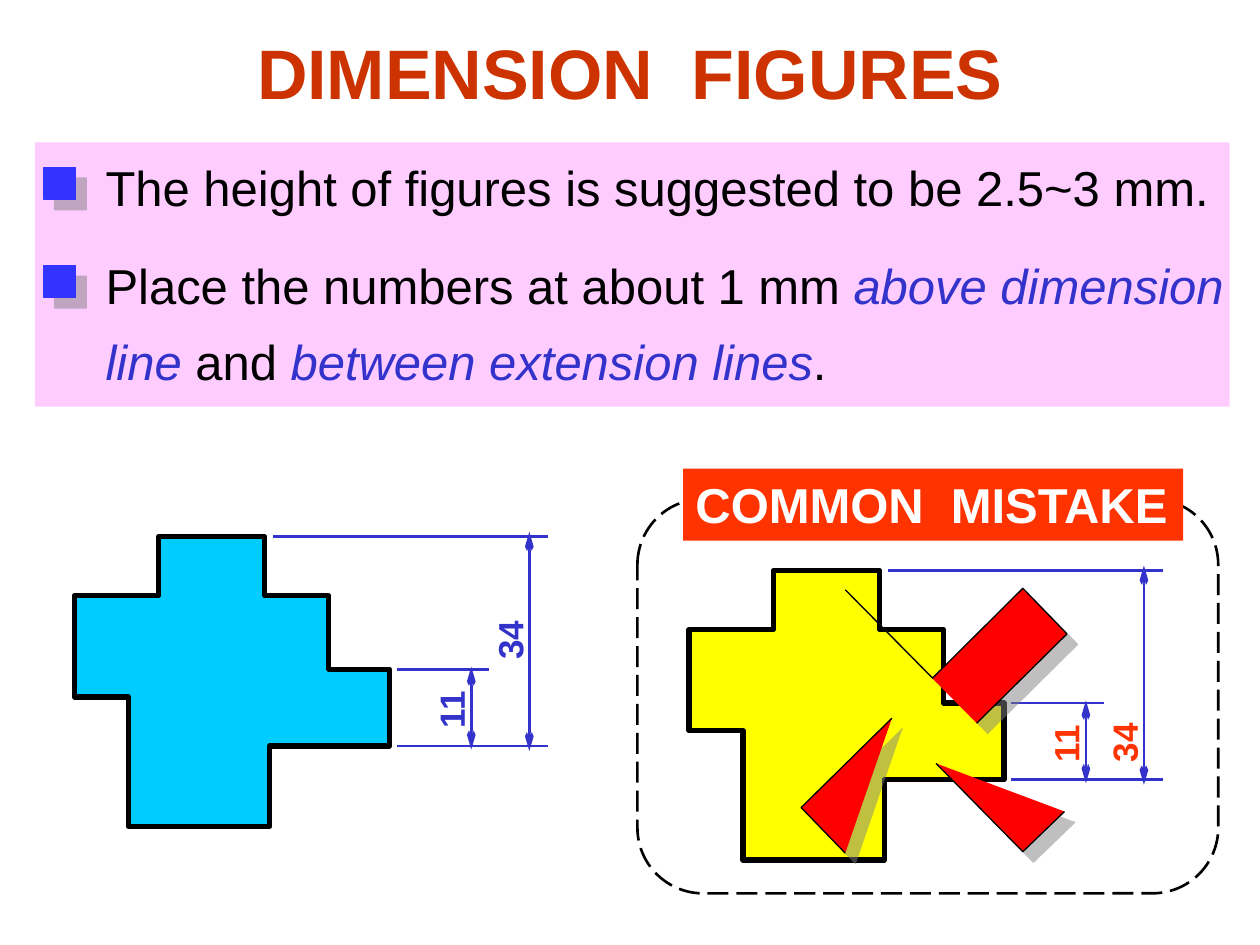
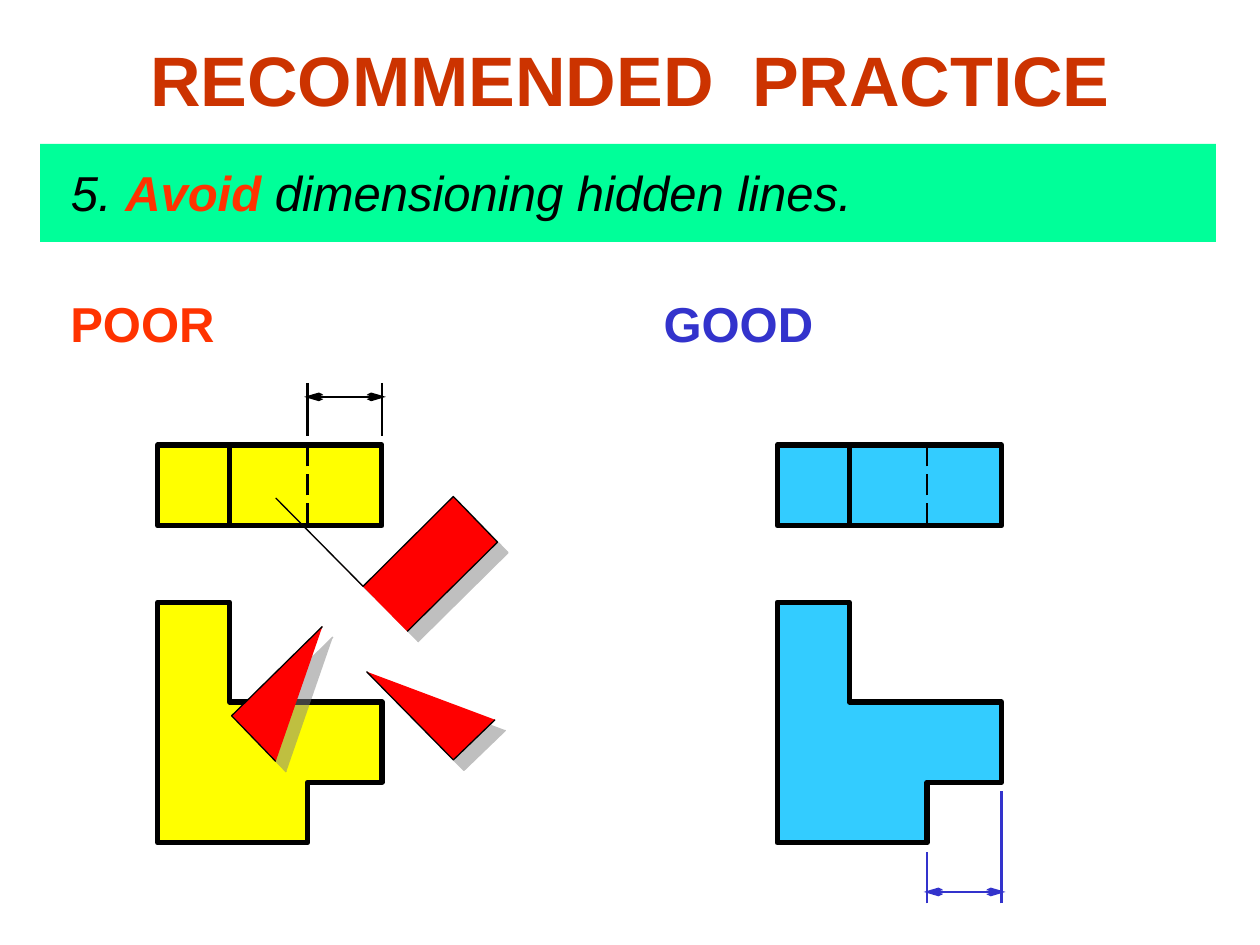
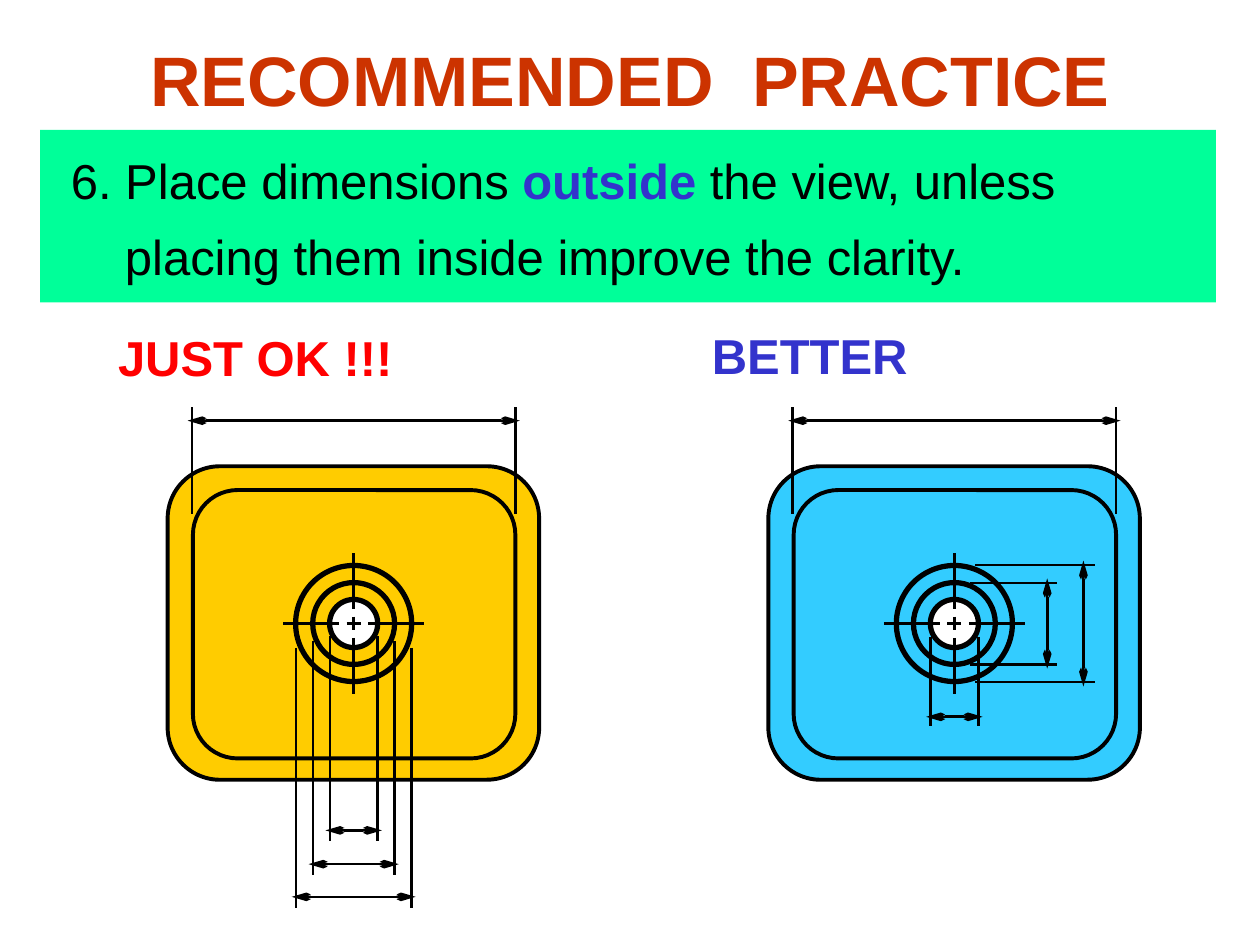
from lxml import etree
from pptx import Presentation
from pptx import util as u
from pptx.dml.color import RGBColor
from pptx.enum import dml, shapes, text
from pptx.oxml.ns import qn

cm = u.Cm
hue = RGBColor.from_string
kind = shapes.MSO_SHAPE
BLACK, WHITE, BLUE, RED = "000000", "FFFFFF", "3333CC", "FF3300"
YELLOW, SKY, GREEN = "FFFF00", "33CCFF", "00FF99"


def put(page, form, at, fill=None, edge=None, wide=0.75, shade=False):
    if form:
        shape = page.shapes.add_shape(form, *map(cm, at))
    else:
        pen = None
        for part in at:
            spots = [(cm(x), cm(y)) for x, y in part]
            if pen:
                pen.move_to(*spots[0])
            else:
                pen = page.shapes.build_freeform(*spots[0])
            pen.add_line_segments(spots[1:], close=False)
        shape = pen.convert_to_shape()
    shape.shadow.inherit = False
    if fill:
        shape.fill.solid()
        shape.fill.fore_color.rgb = hue(fill)
    else:
        shape.fill.background()
    if edge:
        shape.line.color.rgb = hue(edge)
        shape.line.width = u.Pt(wide)
    else:
        shape.line.fill.background()
    if shade:
        glow = shape._element.spPr.find(qn("a:effectLst"))
        cast = etree.SubElement(glow, qn("a:outerShdw"), blurRad="0", dist="107950",
                                dir="2700000", algn="ctr", rotWithShape="0")
        tint = etree.SubElement(cast, qn("a:srgbClr"), val="808080")
        etree.SubElement(tint, qn("a:alpha"), val="50000")
    return shape


def say(shape, runs, size=28, bold=None, italic=None, gap=None, hang=False, wrap=True):
    frame = shape.text_frame
    frame.word_wrap = wrap
    frame.vertical_anchor = text.MSO_ANCHOR.TOP
    para = frame.paragraphs[0]
    para.alignment = text.PP_ALIGN.LEFT
    if gap:
        para.line_spacing = gap
    if hang:
        para._p.get_or_add_pPr().set("marL", str(cm(1.63)))
        para._p.get_or_add_pPr().set("indent", str(cm(-1.09)))
    para.font.name, para.font.size = "Arial", u.Pt(size)
    para.font.bold, para.font.italic = bold, italic
    for words, ink, *marks in runs:
        run = para.add_run()
        run.text = words
        run.font.color.rgb = hue(ink)
        for mark in marks:
            setattr(run.font, mark, True)


deck = Presentation()
deck.slide_width, deck.slide_height = cm(25.4), cm(19.05)
pages = []
for words, at in (
    ("DIMENSION  FIGURES", (0, 0.46, 25.4, 1.96)),
    ("RECOMMENDED  PRACTICE", (1.91, 0, 21.59, 3.18)),
    ("RECOMMENDED  PRACTICE", (1.91, 0.46, 21.59, 2.24)),
):
    page = deck.slides.add_slide(deck.slide_layouts[5])
    title = page.shapes.title
    title.left, title.top, title.width, title.height = map(cm, at)
    title.text_frame.text = words
    title.text_frame.vertical_anchor = text.MSO_ANCHOR.MIDDLE
    para = title.text_frame.paragraphs[0]
    para.alignment = text.PP_ALIGN.CENTER
    para.font.name, para.font.size, para.font.bold = "Arial", u.Pt(40), True
    para.font.color.rgb = hue("CC3300")
    pages.append(page)
figures, hidden, outside = pages
rules = []

put(figures, kind.RECTANGLE, (0.71, 2.87, 24.08, 5.33), "FFCCFF")
for top, high, gap, runs in (
    (3.05, 0.33, None, [("The height of figures is suggested to be 2.5~3 mm.", BLACK)]),
    (4.67, 0.69, 1.3, [("Place the numbers at about 1 mm ", BLACK),
                       ("above dimension line", BLUE, "italic"), (" and ", BLACK),
                       ("between extension lines", BLUE, "italic"), (".", BLACK)]),
):
    put(figures, kind.RECTANGLE, (0.89, top + high, 0.64, 0.64), "3333FF", "3333FF", shade=True)
    say(figures.shapes.add_textbox(cm(1.88), cm(top), cm(23.4), cm(1.45)), runs, gap=gap)

frame = put(figures, kind.ROUNDED_RECTANGLE, (12.85, 10.06, 11.71, 7.95), None, BLACK, 1.5)
frame.line.dash_style = dml.MSO_LINE.LONG_DASH
label = put(figures, kind.RECTANGLE, (13.77, 9.45, 10.08, 1.45), RED)
say(label, [("COMMON  MISTAKE", WHITE)], bold=True, wrap=False)

block = [(1.7, 1.19), (1.7, 0), (3.84, 0), (3.84, 1.19), (5.13, 1.19), (5.13, 2.67),
         (6.35, 2.67), (6.35, 4.22), (3.94, 4.22), (3.94, 5.84), (1.09, 5.84),
         (1.09, 3.23), (0, 3.23), (0, 1.19), (1.7, 1.19)]
for left, top, fill, ink, high in ((1.5, 10.82, "00CCFF", BLUE, 1.52),
                                   (13.89, 11.5, YELLOW, RED, 2.9)):
    put(figures, None, [[(left + x, top + y) for x, y in block]], fill, BLACK, 3)
    for a, b, c, d, style in (
        (6.5, 2.67, 8.36, 2.67, None), (6.5, 4.22, 9.55, 4.22, None),
        (4.01, 0, 9.55, 0, None),
        (8, 2.62, 8, 4.29, "arrow"), (9.17, -0.1, 9.17, 4.32, "arrow"),
    ):
        rules.append((figures, left + a, top + b, left + c, top + d, BLUE, 1.5, style))
    for words, x, y in (("11", 6.95, 2.9), ("34", 8.13, high)):
        note = figures.shapes.add_textbox(cm(left + x), cm(top + y), cm(1.3), cm(1.12))
        note.rotation = 270
        say(note, [(words, ink)], 20, True, wrap=False)

for page, top, tall, inset, gap, italic, runs in (
    (hidden, 2.9, 1.98, 0.38, None, True,
     [("5. ", BLACK), ("Avoid", RED, "bold"), (" dimensioning hidden lines.", BLACK)]),
    (outside, 2.62, 3.48, 0.05, 1.3, None,
     [("6. Place dimensions ", BLACK), ("outside", BLUE, "bold"),
      (" the view, unless placing them inside improve the clarity.", BLACK)]),
):
    band = put(page, kind.RECTANGLE, (0.81, top, 23.7, tall), GREEN)
    band.text_frame.margin_left, band.text_frame.margin_top = cm(0.08), cm(inset)
    say(band, runs, italic=italic, gap=gap, hang=True)

for page, words, left, top, ink in (
    (hidden, "POOR", 1.17, 5.79, RED), (hidden, "GOOD", 13.13, 5.79, BLUE),
    (outside, "JUST OK !!!", 2.13, 6.48, "FF0000"), (outside, "BETTER", 14.1, 6.43, BLUE),
):
    say(page.shapes.add_textbox(cm(left), cm(top), cm(7), cm(1.45)), [(words, ink)], bold=True)

step = [(0, 0), (1.45, 0), (1.45, 2.01), (4.52, 2.01), (4.52, 3.63), (3.02, 3.63),
        (3.02, 4.85), (0, 4.85), (0, 0)]
for left, fill, ink, far, near, bar in (
    (3.18, YELLOW, BLACK, 7.72, (8.79, 8.79), 8),
    (15.67, SKY, BLUE, 18.21, (17.17, 15.95), 17.98),
):
    put(hidden, None, [[(left + x, 12.14 + y) for x, y in step]], fill, BLACK, 3)
    put(hidden, kind.RECTANGLE, (left, 8.97, 4.52, 1.63), fill, BLACK, 3)
    for x, wide, style in ((1.45, 3, None), (3.02, 1.5, "dash")):
        rules.append((hidden, left + x, 10.57, left + x, 8.97, BLACK, wide, style))
    for x, y in zip((3.02, 4.52), near):
        rules.append((hidden, left + x, far, left + x, y, ink, 1.5, None))
    rules.append((hidden, left + 2.95, bar, left + 4.6, bar, ink, 1.5, "arrow"))

mid = 12.57
for left, fill in ((3.38, "FFCC00"), (15.49, SKY)):
    hub = left + 3.75
    put(outside, kind.ROUNDED_RECTANGLE, (left, 9.4, 7.49, 6.32), fill, BLACK, 2.25)
    put(outside, kind.ROUNDED_RECTANGLE, (left + 0.51, 9.88, 6.5, 5.41), fill, BLACK, 2.25)
    for size, tone in ((2.34, fill), (1.65, fill), (0.97, WHITE)):
        put(outside, kind.OVAL, (hub - size / 2, mid - size / 2, size, size), tone, BLACK, 3)
    for a, b in ((-1.42, -0.29), (-0.14, 0.14), (0.29, 1.42)):
        rules.append((outside, hub + a, mid, hub + b, mid, BLACK, 1.5, None))
        rules.append((outside, hub, mid + a, hub, mid + b, BLACK, 1.5, None))

for hub, half, near, far, bar in (
    (7.13, 3.26, 10.36, 8.2, 8.48), (19.24, 3.26, 10.36, 8.2, 8.48),
    (7.13, 0.48, 12.83, 16.95, 16.74), (7.13, 0.82, 12.93, 17.63, 17.42),
    (7.13, 1.16, 13.06, 18.31, 18.08), (19.24, 0.48, 12.85, 14.63, 14.45),
):
    for x in (hub - half, hub + half):
        rules.append((outside, x, near, x, far, BLACK, 1.5, None))
    rules.append((outside, hub - half - 0.09, bar, hub + half + 0.09, bar, BLACK, 1.5, "arrow"))
for half, near, far, bar in ((0.82, 19.56, 21.31, 21.11), (1.18, 19.66, 22.07, 21.84)):
    for y in (mid - half, mid + half):
        rules.append((outside, near, y, far, y, BLACK, 1.5, None))
    rules.append((outside, bar, mid + half + 0.09, bar, mid - half - 0.09, BLACK, 1.5, "arrow"))

for page, a, b, c, d, ink, wide, style in rules:
    rule = page.shapes.add_connector(shapes.MSO_CONNECTOR.STRAIGHT, cm(a), cm(b), cm(c), cm(d))
    rule.line.color.rgb = hue(ink)
    rule.line.width = u.Pt(wide)
    if style == "dash":
        rule.line.dash_style = dml.MSO_LINE.LONG_DASH
    if style == "arrow":
        for end in ("a:headEnd", "a:tailEnd"):
            etree.SubElement(rule.line._get_or_add_ln(), qn(end), type="arrow", w="sm", len="lg")
    etree.SubElement(rule._element.spPr, qn("a:effectLst"))

cross = [
    [(17.98, 14.48), (16.15, 16.28), (17.04, 17.2)],
    [(18.87, 15.39), (20.62, 17.17), (21.46, 16.36)],
    [(19.69, 14.58), (21.51, 12.78), (20.62, 11.86), (18.8, 13.67), (17.04, 11.89)],
]
for page, right, down in ((figures, 0, 0), (hidden, -11.48, -1.85)):
    parts = [[(x + right, y + down) for x, y in part] for part in cross]
    put(page, None, parts, "FF0000", BLACK, shade=True)

deck.save("out.pptx")
